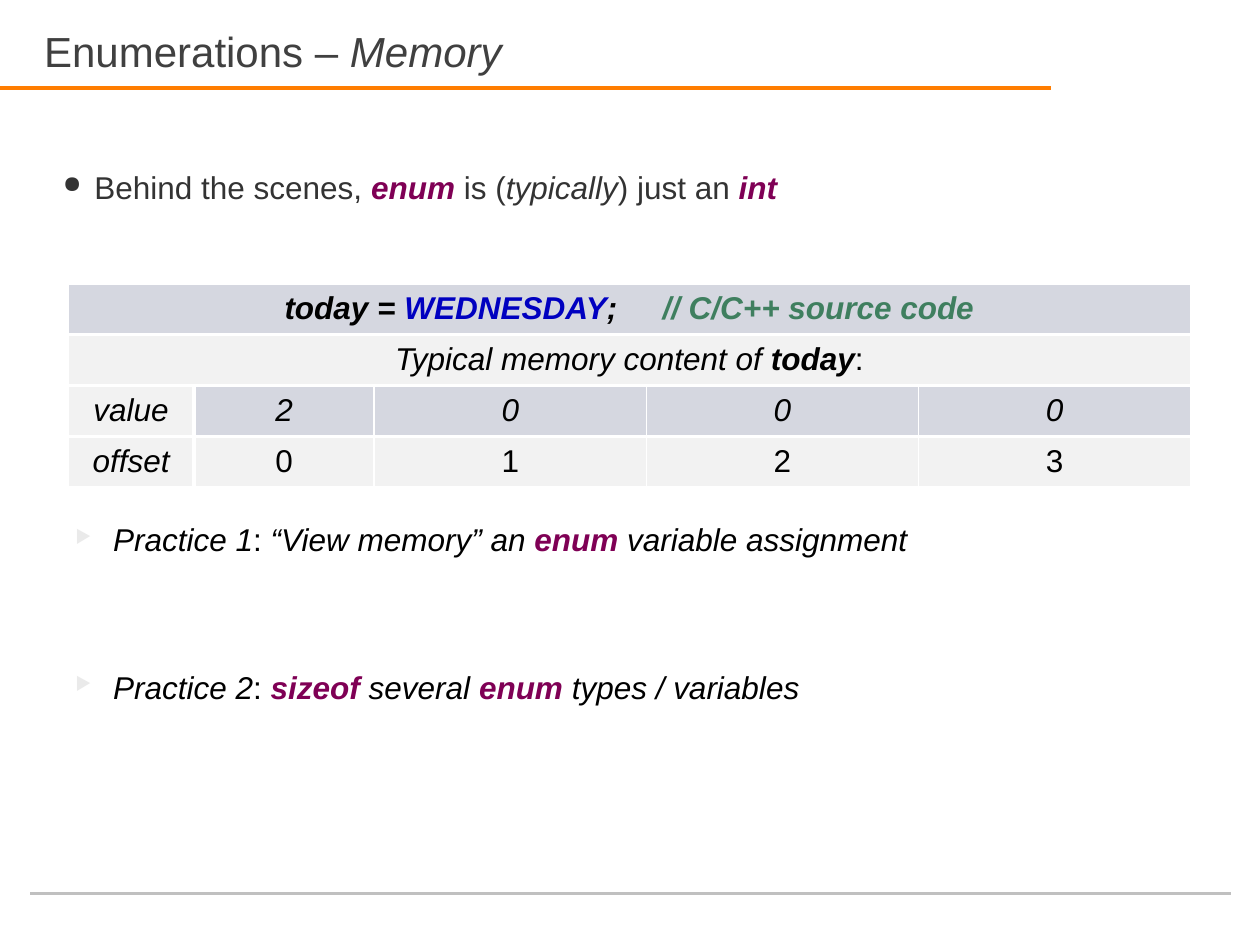
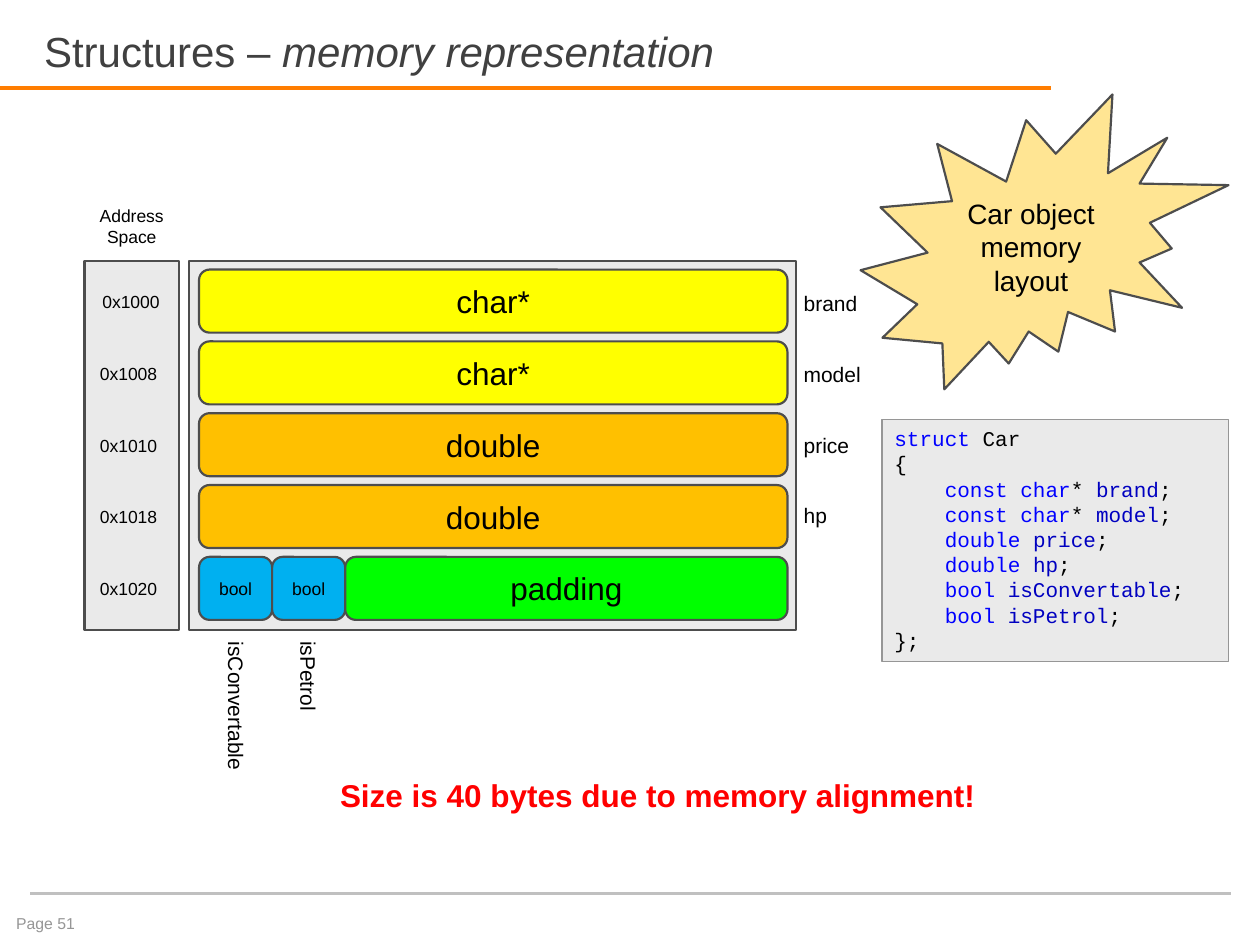
from lxml.etree import SubElement
from pptx import Presentation
from pptx.dml.color import RGBColor
from pptx.enum.shapes import MSO_CONNECTOR as Connector, MSO_SHAPE as Preset
from pptx.enum.text import MSO_ANCHOR as Anchor, MSO_AUTO_SIZE as AutoSize, PP_ALIGN as Align
from pptx.oxml.ns import qn
from pptx.util import Inches, Pt

COLORS = {
    "title": "404040", "accent": "FF7D00", "rule": "C0C0C0", "footer": "969696",
    "body": "333333", "black": "000000", "white": "FFFFFF", "warning": "FF0000",
    "keyword": "7F0055", "constant": "0000C0", "comment": "3F7F5F", "type": "0000FF",
    "cell": "D5D7E0", "plain_cell": "F2F2F2", "panel": "EAEAEA", "outline": "4D4D4D",
    "pointer": "FFFF00", "double": "FFC000", "bool": "00B0F0", "padding": "00FF00",
    "burst": "FFE593",
}
ROW_TOP, ROW_STEP, LABEL_STEP = 2.14, 0.57, 0.56
FIELD_LEFT, FIELD_WIDTH, FIELD_HEIGHT, BOOL_WIDTH = 1.58, 4.67, 0.5, 0.58


def color(name):
    return RGBColor.from_string(COLORS[name])


# Text: a span is a string or (text, style, color), where style holds "b" and "i"
def write(para, spans, size, ink="black", font="Arial", align=Align.LEFT):
    para.alignment = align
    para.font.size, para.font.name = Pt(size), font
    para.font.color.rgb = color(ink)
    for part in [spans] if isinstance(spans, str) else spans:
        text, style, tint = part if isinstance(part, tuple) else (part, "", None)
        span = para.add_run()
        span.text = text
        if "b" in style:
            span.font.bold = True
        if "i" in style:
            span.font.italic = True
        if tint:
            span.font.color.rgb = color(tint)


def add_text(page, place, spans, size, ink="black", align=Align.LEFT, wrap=False, turn=0):
    box = page.shapes.add_textbox(*map(Inches, place))
    box.text_frame.word_wrap = wrap
    box.rotation = turn
    write(box.text_frame.paragraphs[0], spans, size, ink, align=align)
    return box


def set_indent(para, left, first=0):
    props = para._p.get_or_add_pPr()
    props.set("marL", str(Inches(left)))
    props.set("indent", str(Inches(first)))
    return props


def add_bullet(para, symbol, tint, indent, percent):
    props = set_indent(para, indent, -indent)
    SubElement(SubElement(props, qn("a:buClr")), qn("a:srgbClr"), val=COLORS[tint])
    SubElement(props, qn("a:buSzPct"), val=str(percent * 1000))
    SubElement(props, qn("a:buChar"), char=symbol)


def clear_margins(frame):
    frame.margin_left = frame.margin_right = frame.margin_top = frame.margin_bottom = 0


# Shapes and lines
def add_block(page, preset, place, fill, text="", size=18, line="outline", weight=1.25, wrap=True):
    block = page.shapes.add_shape(preset, *map(Inches, place))
    block.shadow.inherit = False
    block.fill.solid()
    block.fill.fore_color.rgb = color(fill)
    block.line.color.rgb = color(line)
    block.line.width = Pt(weight)
    block.text_frame.word_wrap = wrap
    if text:
        write(block.text_frame.paragraphs[0], text, size, align=Align.CENTER)
    return block


def add_rule(page, left, right, top, tint, weight):
    rule = page.shapes.add_connector(
        Connector.STRAIGHT, Inches(left), Inches(top), Inches(right), Inches(top))
    rule.line.color.rgb = color(tint)
    rule.line.width = Pt(weight)
    SubElement(rule._element.spPr, qn("a:effectLst"))


# Page frame: title and the two rules
def add_page(deck, title_spans):
    page = deck.slides.add_slide(deck.slide_layouts[5])
    add_rule(page, -0.02, 8.34, 0.7, "accent", 2.25)
    add_rule(page, 0.24, 9.77, 7.09, "rule", 1.5)
    title = page.shapes.title
    title.left, title.top, title.width, title.height = map(Inches, (0.35, 0.13, 7.98, 0.47))
    frame = title.text_frame
    frame.auto_size, frame.vertical_anchor = AutoSize.NONE, Anchor.BOTTOM
    clear_margins(frame)
    write(frame.paragraphs[0], title_spans, 24, "title")
    return page


# Table
def fill_cell(cell, spans, fill, left, right):
    write(cell.text_frame.paragraphs[0], spans, 18, align=Align.CENTER)
    cell.vertical_anchor = Anchor.MIDDLE
    props = cell._tc.get_or_add_tcPr()
    for side, weight in (("L", left), ("R", right), ("T", 2.25), ("B", 2.25)):
        border = SubElement(props, qn(f"a:ln{side}"), w=str(Pt(weight)))
        SubElement(SubElement(border, qn("a:solidFill")), qn("a:srgbClr"), val=COLORS["white"])
    cell.fill.solid()
    cell.fill.fore_color.rgb = color(fill)


def add_memory_table(page):
    table = page.shapes.add_table(4, 5, *map(Inches, (0.54, 2.25, 8.92, 1.62))).table
    for column, width in zip(table.columns, (1, 1.43, 2.16, 2.16, 2.16)):
        column.width = Inches(width)
    for row in table.rows:
        row.height = Inches(1.62 / 4)
    headings = (
        ([("today = ", "bi", None), ("WEDNESDAY", "bi", "constant"), (";\t", "bi", None),
          ("// C/C++ source code", "bi", "comment")], "cell"),
        ([("Typical memory content of ", "i", None), ("today", "bi", None), ":"], "plain_cell"),
    )
    for row, (spans, fill) in enumerate(headings):
        table.cell(row, 0).merge(table.cell(row, 4))
        fill_cell(table.cell(row, 0), spans, fill, 1, 1)
    rows = (("value", "2000", "i", "cell"), ("offset", "0123", "", "plain_cell"))
    for row, (name, values, style, fill) in enumerate(rows, 2):
        fill_cell(table.cell(row, 0), [(name, "i", None)], "plain_cell", 1, 2.25)
        for column, value in enumerate(values, 1):
            left = 2.25 if column == 1 else 1
            fill_cell(table.cell(row, column), [(value, style, None)], fill, left, 1)


def build_enumerations(deck):
    page = add_page(deck, ["Enumerations – ", ("Memory", "i", None)])
    enum = ("enum", "bi", "keyword")

    intro = add_text(page, (0.5, 1.33, 9, 0.67), [
        "Behind the scenes, ", enum, " is (", ("typically", "i", None),
        ") just an ", ("int", "bi", "keyword")], 18, "body", wrap=True)
    clear_margins(intro.text_frame)
    add_bullet(intro.text_frame.paragraphs[0], "●", "body", 0.25, 75)

    add_memory_table(page)

    practices = (
        (4.08, [("Practice 1", "i", None), ": ", ("“View memory” an ", "i", None), enum,
                (" variable assignment", "i", None)]),
        (5.25, [("Practice 2", "i", None), ": ", ("sizeof", "bi", "keyword"),
                (" several ", "i", None), enum, (" types / variables", "i", None)]),
    )
    for top, spans in practices:
        box = add_text(page, (0.5, top, 9, 0.92), spans, 18, wrap=True)
        add_bullet(box.text_frame.paragraphs[0], "▶", "panel", 0.3, 58)


# Memory layout of the structure
def add_memory_map(page):
    for left, width in ((0.67, 0.75), (1.5, 4.82)):
        add_block(page, Preset.RECTANGLE, (left, 2.07, width, 2.93), "panel")
    heading = add_text(page, (0.69, 1.58, 0.71, 0.44), "Address", 10, align=Align.CENTER)
    write(heading.text_frame.add_paragraph(), "Space", 10, align=Align.CENTER)

    fields = (("char*", "pointer", "brand"), ("char*", "pointer", "model"),
              ("double", "double", "price"), ("double", "double", "hp"))
    for row, (kind, fill, name) in enumerate(fields):
        place = (FIELD_LEFT, ROW_TOP + row * ROW_STEP, FIELD_WIDTH, FIELD_HEIGHT)
        add_block(page, Preset.ROUNDED_RECTANGLE, place, fill, kind)
        add_text(page, (6.28, 2.26 + row * LABEL_STEP, 0.66, 0.3), name, 12)

    last_top = ROW_TOP + len(fields) * ROW_STEP
    for column, (kind, fill, width, size) in enumerate((
            ("bool", "bool", BOOL_WIDTH, 10), ("bool", "bool", BOOL_WIDTH, 10),
            ("padding", "padding", FIELD_WIDTH - 2 * BOOL_WIDTH, 18))):
        place = (FIELD_LEFT + column * BOOL_WIDTH, last_top, width, FIELD_HEIGHT)
        add_block(page, Preset.ROUNDED_RECTANGLE, place, fill, kind, size, wrap=False)

    for row, address in enumerate(("0x1000", "0x1008", "0x1010", "0x1018", "0x1020")):
        left = 0.71 if row == 0 else 0.69
        place = (left, 2.26 + row * ROW_STEP, 0.66, 0.27)
        add_text(page, place, address, 10, align=Align.CENTER)
    for place, name in (((1.26, 5.46, 1.23, 0.3), "isConvertable"),
                        ((2.07, 5.22, 0.76, 0.3), "isPetrol")):
        add_text(page, place, name, 12, turn=90)


def add_struct_code(page):
    panel = add_block(page, Preset.RECTANGLE, (7, 3.33, 2.75, 1.92), "panel",
                      line="footer", weight=0.75)
    frame = panel.text_frame
    frame.vertical_anchor = Anchor.TOP
    members = (("const char", "* ", "brand"), ("const char", "* ", "model"),
               ("double", " ", "price"), ("double", " ", "hp"),
               ("bool", " ", "isConvertable"), ("bool", " ", "isPetrol"))
    lines = [[("struct", "", "type"), " Car"], "{"]
    lines += [[(kind, "", "type"), mark, (name, "", "constant"), ";"]
              for kind, mark, name in members]
    lines.append("};")
    for number, spans in enumerate(lines):
        para = frame.add_paragraph() if number else frame.paragraphs[0]
        write(para, spans, 12, font="Courier New")
        if 2 <= number < len(lines) - 1:
            set_indent(para, 0.4)


def build_structures(deck):
    page = add_page(deck, ["Structures –", (" memory representation", "i", None)])
    add_text(page, (0.03, 7.2, 1.2, 0.3), "Page 51", 9, "footer")
    add_memory_map(page)
    add_block(page, Preset.EXPLOSION2, (6.83, 0.75, 2.92, 2.34), "burst",
              "Car object memory layout", 16)
    add_text(page, (2.6, 6.11, 5.29, 0.4),
             [("Size is 40 bytes due to memory alignment!", "b", None)], 18, "warning")
    add_struct_code(page)


def main():
    deck = Presentation()
    deck.slide_width, deck.slide_height = Inches(10), Inches(7.5)
    build_enumerations(deck)
    build_structures(deck)
    deck.save("out.pptx")


if __name__ == "__main__":
    main()
